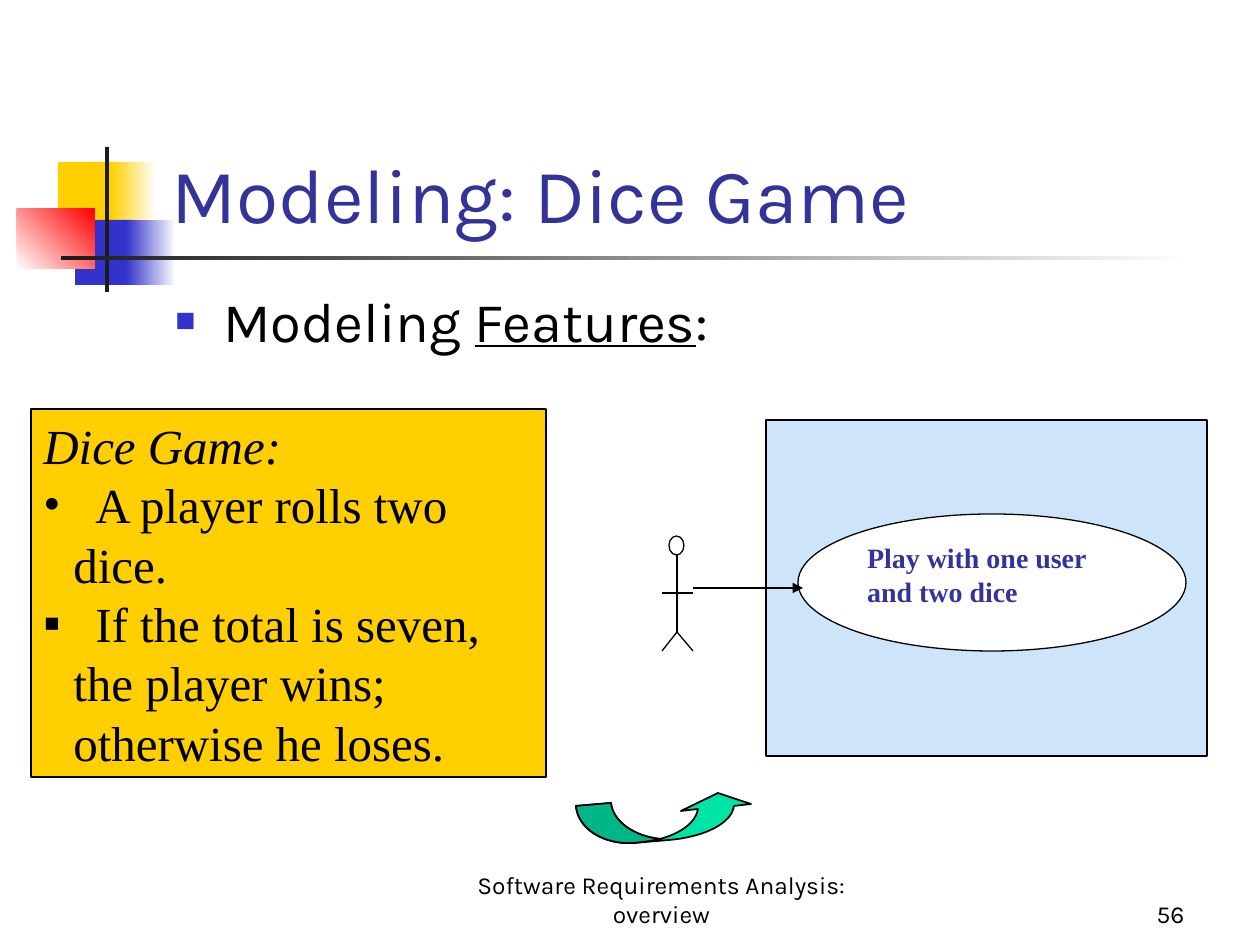
"""Build the dice game modeling slide."""
from dataclasses import dataclass, field
from typing import Any, NamedTuple, Optional

from lxml.etree import SubElement
from pptx import Presentation
from pptx.dml.color import RGBColor
from pptx.enum.shapes import MSO_CONNECTOR, MSO_SHAPE
from pptx.enum.text import MSO_ANCHOR, MSO_AUTO_SIZE, PP_ALIGN
from pptx.oxml.ns import qn
from pptx.util import Emu, Pt

SCALE = 914400 / 126
SANS, SERIF = "Karla", "Times New Roman"
COLORS = {
    "black": "000000", "white": "FFFFFF", "charcoal": "1C1C1C",
    "yellow": "FFCF01", "blue": "3333CC", "red": "FF0000",
    "navy": "333399", "sky": "CDE4FB", "green": "00E4A8", "dark green": "00B688",
}


class Box(NamedTuple):
    left: int
    top: int
    width: int
    height: int


class Gradient(NamedTuple):
    start: str
    end: str
    angle: int = 0


class Bullet(NamedTuple):
    character: str
    color: str
    percent: int
    indent: int
    tabs: tuple = ()


class Curve(NamedTuple):
    first_control: tuple
    second_control: tuple
    end: tuple


@dataclass
class Line:
    runs: list
    bullet: Optional[Bullet] = None


@dataclass
class Style:
    font: str
    size: int
    color: str = "black"
    align: PP_ALIGN = PP_ALIGN.LEFT
    anchor: MSO_ANCHOR = MSO_ANCHOR.TOP
    extra: dict = field(default_factory=dict)


def px(value: float) -> Emu:
    return Emu(round(value * SCALE))


def rgb(name: str) -> RGBColor:
    return RGBColor.from_string(COLORS[name])


def set_values(target: Any, values: dict) -> None:
    for name, value in values.items():
        setattr(target, name, value)


def paint(shape: Any, fill: Any, line_width: float = 0) -> None:
    shape.shadow.inherit = False
    if isinstance(fill, Gradient):
        shape.fill.gradient()
        shape.fill.gradient_angle = fill.angle
        for stop, color in zip(shape.fill.gradient_stops, (fill.start, fill.end)):
            stop.color.rgb = rgb(color)
            stop.position = 0 if color == fill.start else 1
    else:
        shape.fill.solid()
        shape.fill.fore_color.rgb = rgb(fill)
    if line_width:
        shape.line.color.rgb = rgb("black")
        shape.line.width = Pt(line_width)
    else:
        shape.line.fill.background()


def add_shape(slide: Any, box: Box, fill: Any, line_width: float = 0,
              kind: MSO_SHAPE = MSO_SHAPE.RECTANGLE) -> Any:
    shape = slide.shapes.add_shape(kind, *map(px, box))
    paint(shape, fill, line_width)
    return shape


def add_bullet(paragraph: Any, bullet: Bullet) -> None:
    properties = paragraph._p.get_or_add_pPr()
    properties.set("marL", str(px(bullet.indent)))
    properties.set("indent", str(-px(bullet.indent)))
    color = SubElement(properties, qn("a:buClr"))
    SubElement(color, qn("a:srgbClr"), val=COLORS[bullet.color])
    SubElement(properties, qn("a:buSzPct"), val=str(bullet.percent * 1000))
    SubElement(properties, qn("a:buFont"), typeface=SERIF)
    SubElement(properties, qn("a:buChar"), char=bullet.character)
    if bullet.tabs:
        tab_list = SubElement(properties, qn("a:tabLst"))
        for position in bullet.tabs:
            SubElement(tab_list, qn("a:tab"), pos=str(px(position)), algn="l")


def write(shape: Any, lines: list, style: Style) -> None:
    frame = shape.text_frame
    set_values(frame, {"word_wrap": True, "auto_size": MSO_AUTO_SIZE.NONE,
                       "vertical_anchor": style.anchor})
    for index, line in enumerate(lines):
        paragraph = frame.add_paragraph() if index else frame.paragraphs[0]
        if line.bullet:
            add_bullet(paragraph, line.bullet)
        set_values(paragraph, {"alignment": style.align,
                               "line_spacing": Pt(round(style.size * 1.21, 1))})
        for text, emphasis in line.runs:
            run = paragraph.add_run()
            run.text = text
            set_values(run.font, {"name": style.font, "size": Pt(style.size),
                                  **style.extra, **emphasis})
            run.font.color.rgb = rgb(style.color)


def add_text(slide: Any, box: Box, lines: list, style: Style) -> None:
    write(slide.shapes.add_textbox(*map(px, box)), lines, style)


def add_line(slide: Any, start: tuple, end: tuple, arrow: bool = False) -> None:
    connector = slide.shapes.add_connector(MSO_CONNECTOR.STRAIGHT, *map(px, start + end))
    connector.line.color.rgb = rgb("black")
    connector.line.width = Pt(0.75)
    if arrow:
        SubElement(connector.line._get_or_add_ln(), qn("a:tailEnd"), type="triangle")
    SubElement(connector._element.spPr, qn("a:effectLst"))


def flatten(start: tuple, segments: list, steps: int = 16) -> list:
    points = [start]
    for segment in segments:
        if not isinstance(segment, Curve):
            points.append(segment)
            continue
        corners = (points[-1], *segment)
        for step in range(1, steps + 1):
            t = step / steps
            weights = ((1 - t) ** 3, 3 * t * (1 - t) ** 2, 3 * t * t * (1 - t), t ** 3)
            points.append(tuple(sum(w * corner[axis] for w, corner in zip(weights, corners))
                                for axis in (0, 1)))
    return points


def add_outline(slide: Any, start: tuple, segments: list, fill: str) -> None:
    points = [(px(x), px(y)) for x, y in flatten(start, segments)]
    builder = slide.shapes.build_freeform(*points[0])
    builder.add_line_segments(points[1:], close=True)
    paint(builder.convert_to_shape(), fill, 1)


def add_decoration(slide: Any) -> None:
    for box, fill in (
        (Box(58, 162, 60, 65), "yellow"),
        (Box(111, 162, 45, 65), Gradient("yellow", "white")),
        (Box(75, 220, 58, 65), "blue"),
        (Box(126, 220, 50, 65), Gradient("blue", "white")),
        (Box(17, 209, 78, 60), Gradient("white", "red", 45)),
        (Box(105, 147, 4, 145), "charcoal"),
        (Box(61, 256, 1134, 4), Gradient("charcoal", "white")),
    ):
        add_shape(slide, box, fill)


def add_use_case(slide: Any) -> None:
    add_shape(slide, Box(766, 420, 441, 336), "sky", 0.75)
    use_case = add_shape(slide, Box(798, 514, 388, 137), "white", 0.75, MSO_SHAPE.OVAL)
    write(use_case, [Line([("Play with one user and two dice", {})])],
          Style(SERIF, 16, "navy", extra={"bold": True}))
    neck, hip = (677, 555), (677, 632)
    add_line(slide, neck, hip)
    add_shape(slide, Box(669, 536, 15, 19), "white", 0.75, MSO_SHAPE.OVAL)
    for foot in ((662, 651), (693, 651)):
        add_line(slide, hip, foot)
    add_line(slide, (662, 593), (693, 593))
    add_line(slide, (693, 588), (803, 588), arrow=True)


def add_curved_arrow(slide: Any) -> None:
    start, tip = (576, 806), (660, 839)
    outer = Curve((578, 829), (604, 845), (634, 843))
    inner = Curve((633, 836), (613, 821), (611, 803))
    add_outline(slide, start, [
        outer, (669, 840), Curve((705, 837), (732, 823), (734, 806)),
        (751, 804), (718, 793), (681, 811), (698, 809),
        Curve((696, 822), (682, 833), tip), inner], "green")
    add_outline(slide, start, [outer, Curve((643, 842), (652, 841), tip), inner], "dark green")


def main() -> None:
    presentation = Presentation()
    set_values(presentation, {"slide_width": px(1260), "slide_height": px(945)})
    slide = presentation.slides.add_slide(presentation.slide_layouts[5])
    add_decoration(slide)
    title = slide.shapes.title
    set_values(title, dict(zip(("left", "top", "width", "height"),
                               map(px, Box(159, 87, 1074, 158)))))
    write(title, [Line([("Modeling: Dice Game", {})])],
          Style(SANS, 44, "navy", anchor=MSO_ANCHOR.BOTTOM))
    for box, text, align in (
        (Box(935, 872, 262, 63), "56", PP_ALIGN.RIGHT),
        (Box(462, 872, 399, 63), "Software Requirements Analysis: overview", PP_ALIGN.CENTER),
    ):
        add_text(slide, box, [Line([(text, {})])],
                 Style(SANS, 14, align=align, anchor=MSO_ANCHOR.BOTTOM))
    features = [("Modeling ", {}), ("Features", {"underline": True}), (":", {})]
    add_text(slide, Box(163, 280, 1071, 565),
             [Line(features, Bullet("■", "blue", 60, 48))], Style(SANS, 32))
    rules = add_shape(slide, Box(31, 409, 515, 368), "yellow", 0.75)
    write(rules, [Line([("Dice Game:", {"italic": True})])] + [
        Line([(text, {})], Bullet(character, "black", 100, 30, (22, 52)))
        for character, text in (
            ("•", "\tA player rolls two dice."),
            ("▪", "\tIf the total is seven, the player wins; otherwise he loses."))
    ], Style(SERIF, 28))
    add_use_case(slide)
    add_curved_arrow(slide)
    presentation.save("out.pptx")


if __name__ == "__main__":
    main()
